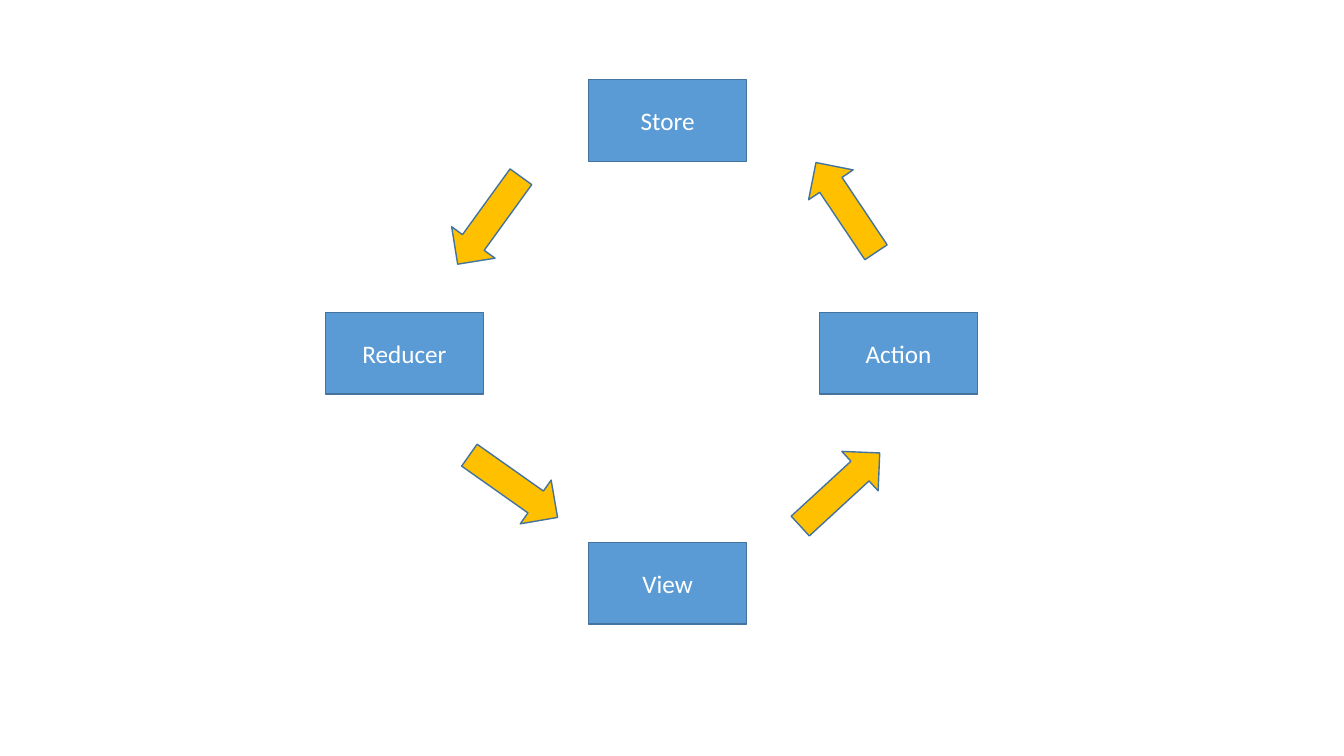
import pptx
import pptx.dml.color
import pptx.enum.shapes
import pptx.enum.text
import pptx.util

Cm = pptx.util.Cm
Pt = pptx.util.Pt
RGBColor = pptx.dml.color.RGBColor
MSO_SHAPE = pptx.enum.shapes.MSO_SHAPE

BLUE = RGBColor(0x5B, 0x9B, 0xD5)
OUTLINE = RGBColor(0x43, 0x73, 0x9E)
GOLD = RGBColor(0xFF, 0xC0, 0x00)
WHITE = RGBColor(0xFF, 0xFF, 0xFF)


class CycleSlide:
    """Draws boxes and arrows in one style on the current slide."""

    box_size = (Cm(3.99), Cm(2.06))
    arrow_size = (Cm(2.72), Cm(1.35))
    font_format = {"name": "Calibri", "size": Pt(18)}

    def __init__(self, slide):
        self.slide = slide

    def shape(self, kind, left, top, size, fill):
        sp = self.slide.shapes.add_shape(kind, Cm(left), Cm(top), *size)
        sp.shadow.inherit = False
        sp.fill.solid()
        sp.fill.fore_color.rgb = fill
        sp.line.color.rgb = OUTLINE
        sp.line.width = Pt(1)
        return sp

    def box(self, text, left, top):
        sp = self.shape(MSO_SHAPE.RECTANGLE, left, top, self.box_size, BLUE)
        tf = sp.text_frame
        tf.vertical_anchor = pptx.enum.text.MSO_ANCHOR.MIDDLE
        p = tf.paragraphs[0]
        p.alignment = pptx.enum.text.PP_ALIGN.CENTER
        r = p.add_run()
        r.text = text
        for name, value in self.font_format.items():
            setattr(r.font, name, value)
        r.font.color.rgb = WHITE

    def arrow(self, left, top, angle):
        sp = self.shape(MSO_SHAPE.RIGHT_ARROW, left, top, self.arrow_size, GOLD)
        sp.rotation = angle


def main():
    prs = pptx.Presentation()
    prs.slide_width, prs.slide_height = Cm(33.87), Cm(19.05)
    s = CycleSlide(prs.slides.add_slide(prs.slide_layouts[6]))

    # Stages of the cycle
    center_x, middle_y = 14.83, 7.87
    for text, left, top in (
        ("Store", center_x, 2.01),
        ("View", center_x, 13.67),
        ("Action", 20.65, middle_y),
        ("Reducer", 8.2, middle_y),
    ):
        s.box(text, left, top)

    # Arrows, counter-clockwise from View
    for left, top, angle in (
        (19.81, 11.66, 317.4),
        (19.96, 4.55, 236.2),
        (10.97, 4.88, 125.9),
        (11.58, 11.58, 35.2),
    ):
        s.arrow(left, top, angle)

    prs.save("out.pptx")


if __name__ == "__main__":
    main()
